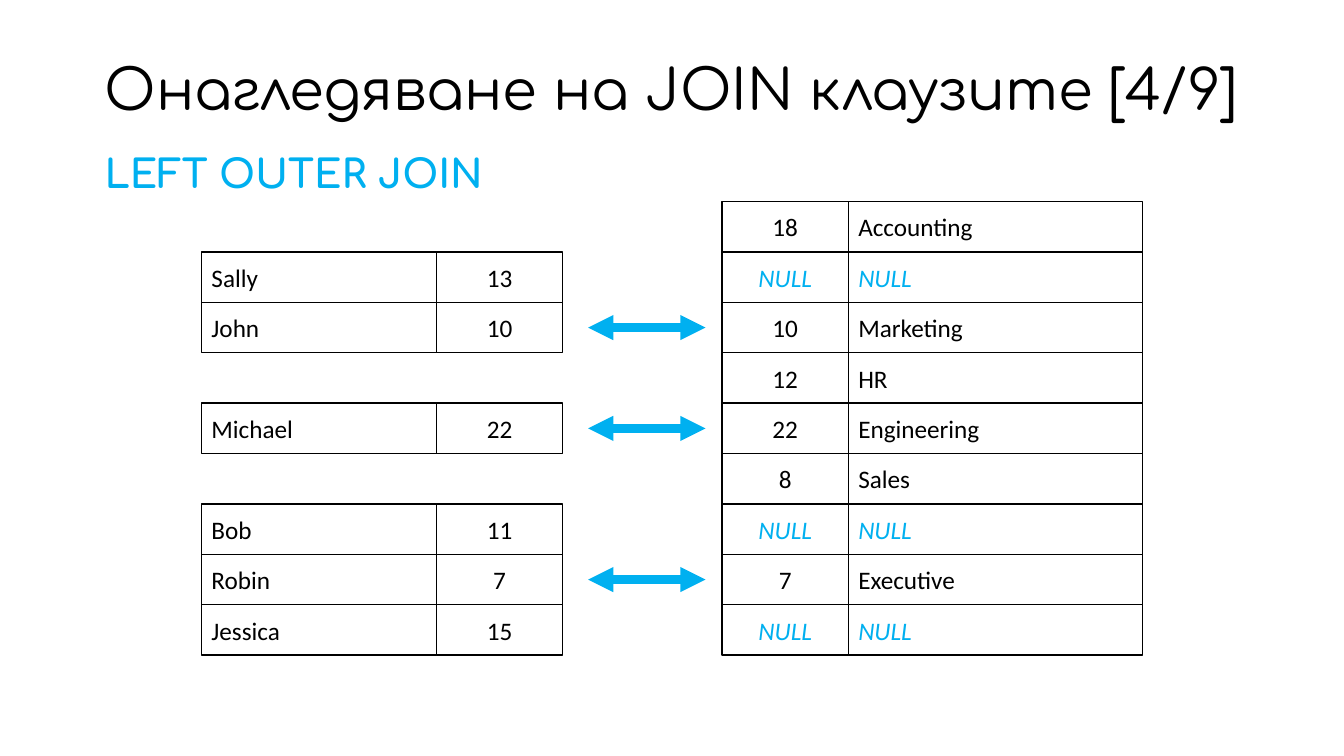
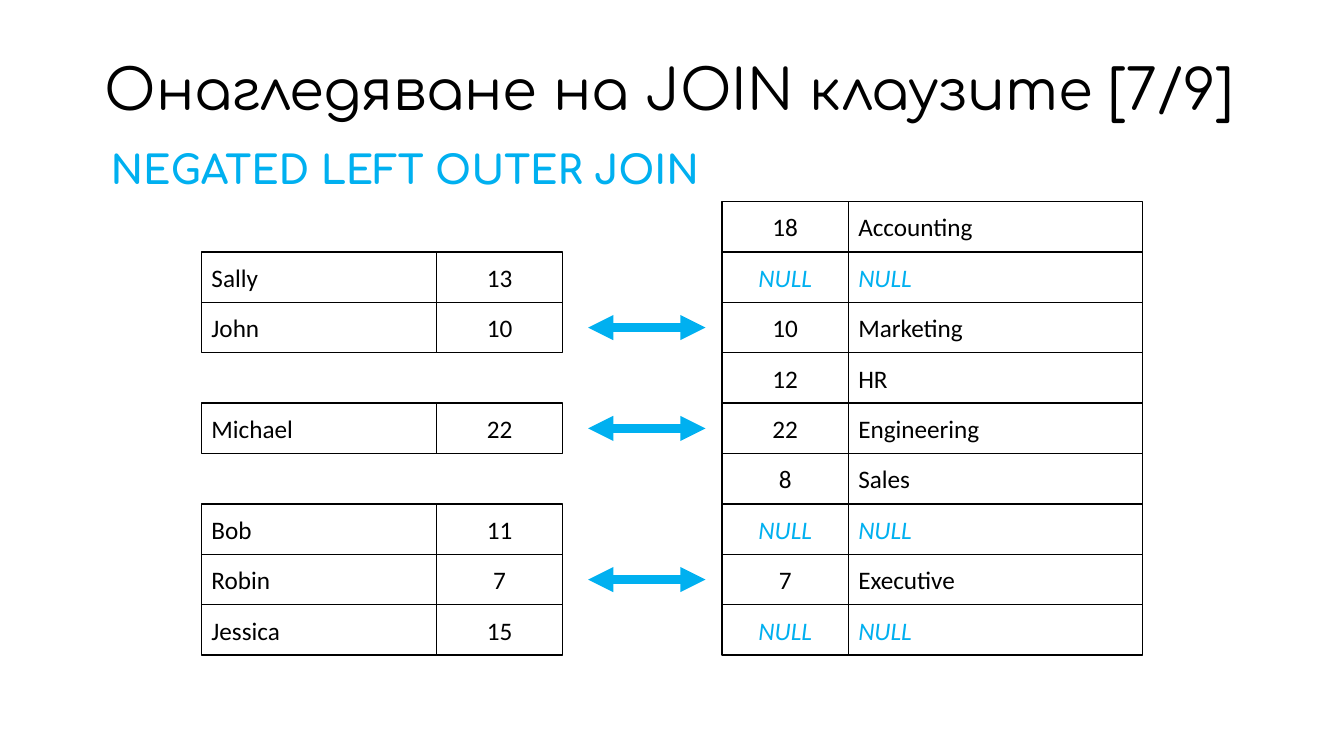
from lxml.etree import SubElement
from pptx import Presentation
from pptx.dml.color import RGBColor
from pptx.enum.shapes import MSO_CONNECTOR, MSO_SHAPE
from pptx.enum.text import MSO_ANCHOR, PP_ALIGN
from pptx.oxml.ns import qn
from pptx.util import Cm, Pt

BLACK = RGBColor(0x00, 0x00, 0x00)
BLUE = RGBColor(0x00, 0xB0, 0xF0)
HEADING_FONT = "Comfortaa"
BODY_FONT = "Calibri"

TITLE = "Онагледяване на JOIN клаузите [{}/9]"
# Part number, join name, left and top of the join name in cm
SLIDES = [
    (4, "LEFT OUTER JOIN", 2.39, 3.78),
    (7, "NEGATED LEFT OUTER JOIN", 2.54, 3.66),
]

NULL = "NULL"
# Employee, department of the employee, department number, department name
ROWS = [
    (None, None, "18", "Accounting"),
    ("Sally", "13", NULL, NULL),
    ("John", "10", "10", "Marketing"),
    (None, None, "12", "HR"),
    ("Michael", "22", "22", "Engineering"),
    (None, None, "8", "Sales"),
    ("Bob", "11", NULL, NULL),
    ("Robin", "7", "7", "Executive"),
    ("Jessica", "15", NULL, NULL),
]
# Left, width in cm and alignment of the four columns
COLUMNS = [
    (5.08, 5.92, PP_ALIGN.LEFT),
    (11, 3.18, PP_ALIGN.CENTER),
    (18.2, 3.18, PP_ALIGN.CENTER),
    (21.38, 7.41, PP_ALIGN.LEFT),
]
ROWS_TOP = 5.08
ROW_HEIGHT = 1.27
ARROW_FROM, ARROW_TO = 14.82, 17.78


def style_runs(p, font, size, color, bold=False, italic=False):
    for r in p.runs:
        r.font.name = font
        r.font.size = Pt(size)
        r.font.color.rgb = color
        r.font.bold = bold
        r.font.italic = italic


def add_heading(slide, text, box, size, color, bold=False, space_before=0):
    tf = slide.shapes.add_textbox(*map(Cm, box)).text_frame
    tf.word_wrap = True
    tf.vertical_anchor = MSO_ANCHOR.TOP if space_before else MSO_ANCHOR.MIDDLE
    tf.text = text
    p = tf.paragraphs[0]
    p.line_spacing = 0.9
    p.space_before = Pt(space_before)
    style_runs(p, HEADING_FONT, size, color, bold)


def add_cell(slide, text, left, top, width, align):
    sp = slide.shapes.add_shape(
        MSO_SHAPE.RECTANGLE, Cm(left), Cm(top), Cm(width), Cm(ROW_HEIGHT))
    sp.shadow.inherit = False
    sp.fill.background()
    sp.line.color.rgb = BLACK
    sp.line.width = Pt(1)
    tf = sp.text_frame
    tf.vertical_anchor = MSO_ANCHOR.MIDDLE
    tf.text = text
    p = tf.paragraphs[0]
    p.alignment = align
    missing = text == NULL
    style_runs(p, BODY_FONT, 18, BLUE if missing else BLACK, italic=missing)


def add_match_arrow(slide, y):
    arrow = slide.shapes.add_connector(
        MSO_CONNECTOR.STRAIGHT, Cm(ARROW_FROM), Cm(y), Cm(ARROW_TO), Cm(y))
    arrow.line.color.rgb = BLUE
    arrow.line.width = Pt(6)
    ln = arrow.line._get_or_add_ln()
    for end in ("a:headEnd", "a:tailEnd"):
        SubElement(ln, qn(end), type="triangle")
    SubElement(arrow._element.spPr, qn("a:effectLst"))


def add_join_rows(slide):
    """Draw the rows, with an arrow where both department numbers agree."""
    for i, row in enumerate(ROWS):
        top = ROWS_TOP + i * ROW_HEIGHT
        for text, (left, width, align) in zip(row, COLUMNS):
            if text:
                add_cell(slide, text, left, top, width, align)
        if row[1] == row[2]:
            add_match_arrow(slide, top + ROW_HEIGHT / 2)


def main():
    prs = Presentation()
    prs.slide_width, prs.slide_height = Cm(33.87), Cm(19.05)
    for part, join, left, top in SLIDES:
        slide = prs.slides.add_slide(prs.slide_layouts[6])
        add_heading(slide, TITLE.format(part), (2.39, 0.48, 30.2, 3.68), 40, BLACK)
        add_heading(slide, join, (left, top, 15.5, 1.3), 28, BLUE,
                    bold=True, space_before=10)
        add_join_rows(slide)
    prs.save("out.pptx")


if __name__ == "__main__":
    main()
